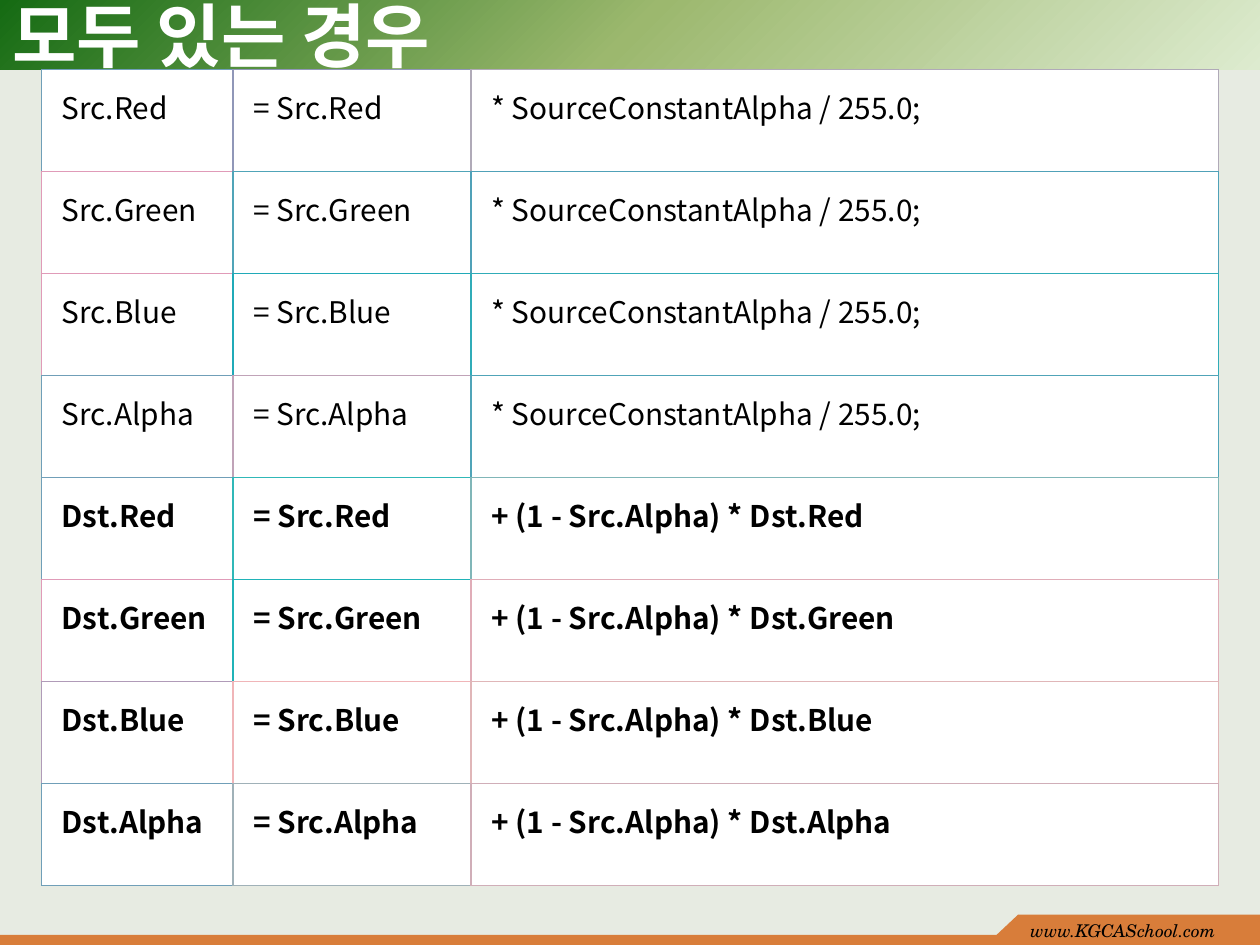
import pptx
import pptx.dml.color
import pptx.enum.shapes
import pptx.enum.text
import pptx.oxml
import pptx.oxml.ns
import pptx.util
from pptx.util import Inches

RGBColor = pptx.dml.color.RGBColor
ANCHOR = pptx.enum.text.MSO_ANCHOR
RECTANGLE = pptx.enum.shapes.MSO_SHAPE.RECTANGLE

BACKGROUND = RGBColor(0xE7, 0xEB, 0xE2)
ORANGE = RGBColor(0xD8, 0x7D, 0x3A)
WHITE = RGBColor(0xFF, 0xFF, 0xFF)
BLACK = RGBColor(0x00, 0x00, 0x00)
HEADER_STOPS = ((0, "DDEBCF"), (50, "9CB86E"), (100, "156B13"))

KOREAN_FONT = "Noto Sans CJK KR"
CHANNELS = ("Red", "Green", "Blue", "Alpha")
FORMULAS = [(f"Src.{c}", f"= Src.{c}", "* SourceConstantAlpha / 255.0;") for c in CHANNELS]
FORMULAS += [(f"Dst.{c}", f"= Src.{c}", f"+ (1 - Src.Alpha) * Dst.{c}") for c in CHANNELS]
BORDER_COLORS = (
    ("709FB8", "9097B8", "B0AAB8"),
    ("E09BB8", "50A4B8", "50A1B8"),
    ("E09BB8", "20AAB8", "30ACB8"),
    ("709FB8", "C0A3B8", "50A4B8"),
    ("709FB8", "30B8B8", "80B6B8"),
    ("E09BB8", "20B3B8", "E0ADB8"),
    ("B09BB8", "F0B5B8", "E0B6B8"),
    ("709FB8", "A0B1B8", "D0AEB8"),
)


def xml(tag, attributes="", body=""):
    ns = pptx.oxml.ns.nsdecls("a")
    return pptx.oxml.parse_xml(f"<a:{tag} {ns} {attributes}>{body}</a:{tag}>")


def add_run(p, text, size, font, color, bold=False, italic=False):
    r = p.add_run()
    r.text = text
    r.font.size = pptx.util.Pt(size)
    r.font.name = font
    r.font.color.rgb = color
    r.font.bold = bold
    r.font.italic = italic
    return r


def paint(sp, color):
    sp.fill.solid()
    sp.fill.fore_color.rgb = color
    sp.line.fill.background()
    sp.shadow.inherit = False


def add_text_box(s, box, anchor):
    tf = s.shapes.add_textbox(*box).text_frame
    tf.word_wrap = True
    tf.vertical_anchor = anchor
    return tf.paragraphs[0]


def add_header(s, left, top, width, height):
    band = s.shapes.add_shape(RECTANGLE, left, top, width, height)
    paint(band, WHITE)
    stops = "".join(
        f'<a:gs pos="{pos * 1000}"><a:srgbClr val="{color}"/></a:gs>'
        for pos, color in HEADER_STOPS
    )
    gradient = xml(
        "gradFill", 'rotWithShape="1"',
        f'<a:gsLst>{stops}</a:gsLst><a:path path="circle">'
        '<a:fillToRect l="100000" t="100000"/></a:path>',
    )
    solid = band.element.spPr.find(pptx.oxml.ns.qn("a:solidFill"))
    band.element.spPr.replace(solid, gradient)


def add_title(s, left, top, width, height):
    p = add_text_box(s, (left, top, width, height), ANCHOR.MIDDLE)
    r = add_run(p, "모두 있는 경우", 40, "Times New Roman", WHITE, bold=True)
    r.font.element.append(xml("ea", f'typeface="{KOREAN_FONT}"')) if hasattr(r.font, "element") else None


def add_footer(s, left, top, width, height):
    strip, tab_width, slope = Inches(0.08), Inches(1.92), Inches(0.17)
    tab_left = left + width - tab_width
    tab_height = height - strip
    strip_top = top + tab_height
    for box in (
        (left, strip_top, width, strip),
        (tab_left, top, tab_width, tab_height),
    ):
        paint(s.shapes.add_shape(RECTANGLE, *box), ORANGE)
    builder = s.shapes.build_freeform(tab_left - slope, strip_top)
    builder.add_line_segments([(tab_left, strip_top), (tab_left, top)], close=True)
    paint(builder.convert_to_shape(), ORANGE)
    p = add_text_box(s, (tab_left, top - Inches(0.01), tab_width, height), ANCHOR.TOP)
    add_run(p, "www.KGCASchool.com", 10, "TeX Gyre Schola", BLACK, italic=True)


def set_borders(cell, row, col):
    """Each cell colours its left and top edges; its neighbours colour the others."""
    last_row, last_col = len(BORDER_COLORS) - 1, len(BORDER_COLORS[0]) - 1
    own = BORDER_COLORS[row][col]
    right = BORDER_COLORS[row][min(col + 1, last_col)]
    below = BORDER_COLORS[min(row + 1, last_row)][col]
    bottom_width = 1 if row == last_row else 0.75
    edges = (("L", own, 1), ("R", right, 1), ("T", own, 0.75), ("B", below, bottom_width))
    tc_pr = cell._tc.get_or_add_tcPr()
    for index, (side, color, width) in enumerate(edges):
        fill = f'<a:solidFill><a:srgbClr val="{color}"/></a:solidFill>'
        tc_pr.insert(index, xml(f"ln{side}", f'w="{pptx.util.Pt(width)}"', fill))


def add_formula_table(s, left, top, width, height):
    rows, cols = len(FORMULAS), len(FORMULAS[0])
    table = s.shapes.add_table(rows, cols, left, top, width, height).table
    table.first_row = table.horz_banding = False
    for column, column_width in zip(table.columns, (1.52, 1.89, 5.93)):
        column.width = Inches(column_width)
    for i, formula in enumerate(FORMULAS):
        for j, text in enumerate(formula):
            cell = table.cell(i, j)
            cell.margin_left = cell.margin_right = Inches(0.16)
            cell.margin_top = cell.margin_bottom = Inches(0.12)
            cell.fill.solid()
            cell.fill.fore_color.rgb = WHITE
            set_borders(cell, i, j)
            add_run(cell.text_frame.paragraphs[0], text, 17, KOREAN_FONT, BLACK,
                    bold=i >= len(CHANNELS))


def main():
    prs = pptx.Presentation()
    prs.slide_width, prs.slide_height = Inches(10), Inches(7.5)
    s = prs.slides.add_slide(prs.slide_layouts[6])
    s.background.fill.solid()
    s.background.fill.fore_color.rgb = BACKGROUND
    add_header(s, 0, 0, prs.slide_width, Inches(0.55))
    add_footer(s, 0, Inches(7.26), prs.slide_width, Inches(0.24))
    add_formula_table(s, Inches(0.33), Inches(0.55), Inches(9.34), Inches(6.48))
    add_title(s, 0, 0, Inches(6.33), Inches(0.55))
    prs.save("out.pptx")


if __name__ == "__main__":
    main()
